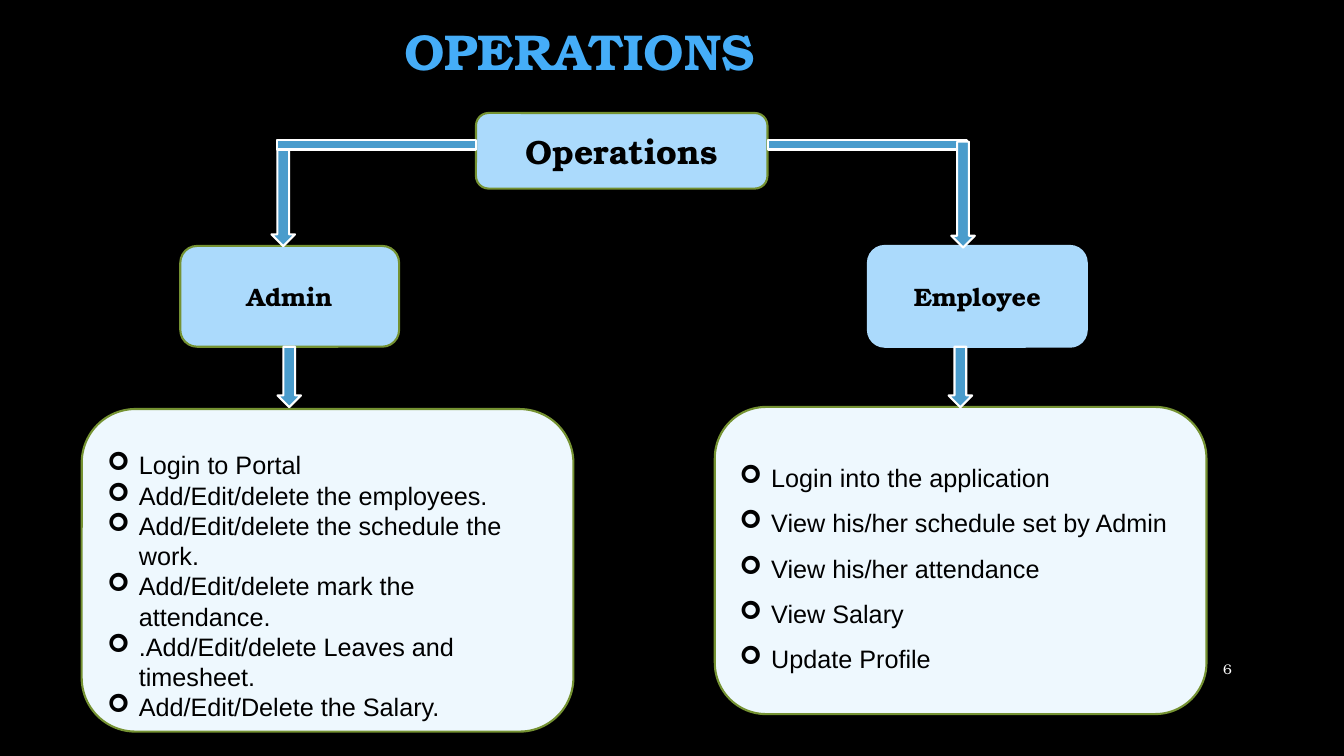
from lxml import etree
from pptx import Presentation
from pptx.dml.color import RGBColor
from pptx.enum.shapes import MSO_SHAPE
from pptx.enum.text import MSO_ANCHOR, PP_ALIGN
from pptx.oxml.ns import qn
from pptx.util import Pt

ROUNDED = MSO_SHAPE.ROUNDED_RECTANGLE
DOWN_ARROW = MSO_SHAPE.DOWN_ARROW
PROCESS = MSO_SHAPE.FLOWCHART_PROCESS
TOP, MIDDLE = MSO_ANCHOR.TOP, MSO_ANCHOR.MIDDLE
LEFT, CENTER, RIGHT = PP_ALIGN.LEFT, PP_ALIGN.CENTER, PP_ALIGN.RIGHT

SERIF, SANS = "TeX Gyre Bonum", "Arial"
COLORS = {
    "background": "000000",
    "title": "45ADF8",
    "node": "ABDAFC",
    "panel": "EEF8FE",
    "outline": "759232",
    "arrow": "4A9CCC",
    "white": "FFFFFF",
    "black": "000000",
}
ADMIN_TASKS = [
    "Login to Portal",
    "Add/Edit/delete the employees.",
    "Add/Edit/delete the schedule the work.",
    "Add/Edit/delete mark the attendance.",
    ".Add/Edit/delete Leaves and timesheet.",
    "Add/Edit/Delete the Salary.",
]
EMPLOYEE_TASKS = [
    "Login into the application",
    "View his/her schedule set by Admin",
    "View his/her attendance",
    "View Salary",
    "Update Profile",
]


def color(name):
    """Return the named colour."""
    return RGBColor.from_string(COLORS[name])


def place(box):
    """Convert a box of left, top, width and height to points."""
    return [Pt(length) for length in box]


def add_span(para, text, size, font=SERIF, tint="black", bold=False):
    """Add one formatted run to a paragraph."""
    span = para.add_run()
    span.text = text
    span.font.size = Pt(size)
    span.font.name = font
    span.font.bold = bold
    span.font.color.rgb = color(tint)


def add_label(page, box, text, size, align, tint, bold=False):
    """Add a single-line text box."""
    frame = page.shapes.add_textbox(*place(box)).text_frame
    frame.word_wrap = True
    frame.vertical_anchor = MIDDLE
    para = frame.paragraphs[0]
    para.alignment = align
    add_span(para, text, size, tint=tint, bold=bold)


def add_block(page, kind, box, fill, outline):
    """Add a filled, outlined shape without a shadow."""
    shape = page.shapes.add_shape(kind, *place(box))
    shape.shadow.inherit = False
    shape.fill.solid()
    shape.fill.fore_color.rgb = color(fill)
    shape.line.color.rgb = color(outline)
    shape.line.width = Pt(1.5)
    return shape


def add_node(page, box, text, size, outline="outline"):
    """Add a rounded box with a bold centred name."""
    frame = add_block(page, ROUNDED, box, "node", outline).text_frame
    frame.word_wrap = True
    frame.vertical_anchor = MIDDLE
    para = frame.paragraphs[0]
    para.alignment = CENTER
    add_span(para, text, size, bold=True)


def add_bullet(para):
    """Give a paragraph an arrowhead bullet with a hanging indent."""
    props = para._p.get_or_add_pPr()
    props.set("marL", str(Pt(22.5)))
    props.set("indent", str(-Pt(22.5)))
    etree.SubElement(props, qn("a:buFont")).set("typeface", "Wingdings")
    etree.SubElement(props, qn("a:buChar")).set("char", "➢")


def add_task_panel(page, box, tasks, spacing, anchor=MIDDLE, top_margin=3.6):
    """Add a rounded panel holding a bulleted task list."""
    frame = add_block(page, ROUNDED, box, "panel", "outline").text_frame
    frame.word_wrap = True
    frame.vertical_anchor = anchor
    frame.margin_top = Pt(top_margin)
    for index, task in enumerate(tasks):
        para = frame.add_paragraph() if index else frame.paragraphs[0]
        para.alignment = LEFT
        para.line_spacing = spacing
        add_bullet(para)
        add_span(para, task, 18, SANS)


def add_arrows(page):
    """Add the arrows leading from the top box down to both panels."""
    width, drop, short = 16.8, 75.6, 43.2
    for kind, box in [
        (DOWN_ARROW, (198.2, 247.7, width, short)),
        (DOWN_ARROW, (677.6, 247.7, width, short)),
        (DOWN_ARROW, (193.9, 100.2, width, drop)),
        (PROCESS, (198.2, 100.2, 141.8, 6.6)),
        (PROCESS, (548.6, 100.2, 141.8, 6.6)),
        (DOWN_ARROW, (679.5, 101.2, width, drop)),
    ]:
        add_block(page, kind, box, "arrow", "white")


def add_operations_page(deck):
    """Add the slide that splits operations by role."""
    page = deck.slides.add_slide(deck.slide_layouts[6])
    page.background.fill.solid()
    page.background.fill.fore_color.rgb = color("background")
    add_label(page, (828, 463, 59, 29), "6", 10, RIGHT, "white")
    add_label(page, (0, 7, 828, 58), "OPERATIONS", 36, CENTER, "title", True)
    add_node(page, (340, 80.7, 208.2, 54), "Operations", 24)
    add_node(page, (128.8, 175.7, 156.3, 72), "Admin", 18)
    add_node(page, (620, 175.7, 156.3, 72), "Employee", 18, "node")
    add_task_panel(page, (58.4, 292.2, 351.2, 230.4), ADMIN_TASKS, 1.0, TOP, 17.9)
    add_task_panel(page, (510.6, 290.7, 351.2, 219.4), EMPLOYEE_TASKS, 1.5)
    add_arrows(page)


def main():
    """Build and save the deck."""
    deck = Presentation()
    deck.slide_width, deck.slide_height = Pt(960), Pt(540)
    add_operations_page(deck)
    deck.save("out.pptx")


if __name__ == "__main__":
    main()
